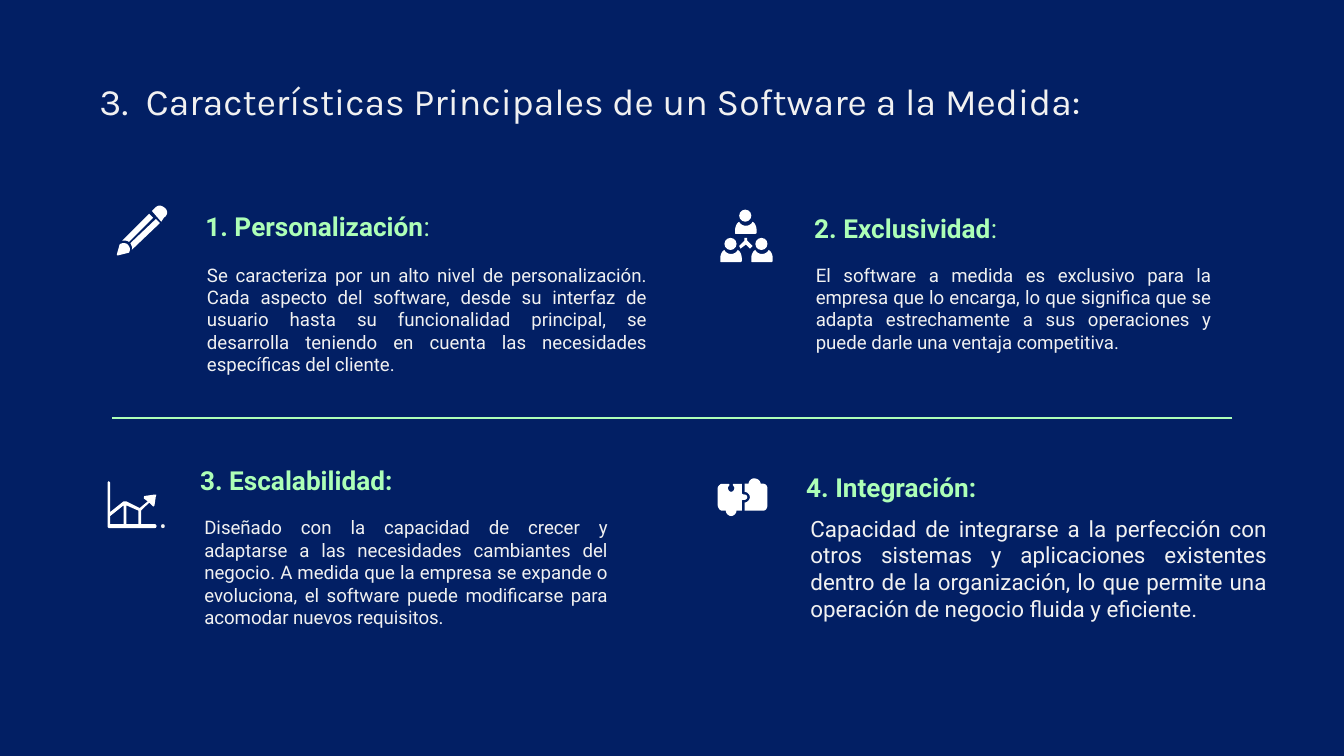
import dataclasses
import typing

import lxml.etree
import pptx
import pptx.dml.color
import pptx.enum.shapes
import pptx.enum.text
import pptx.oxml.ns
import pptx.util

Inches = pptx.util.Inches
Pt = pptx.util.Pt
Anchor = pptx.enum.text.MSO_ANCHOR
Box = tuple[float, float, float, float]
# A path step is a point (x, y) or a cubic curve (x1, y1, x2, y2, x, y)
Path = list[tuple[float, ...]]

COLORS = {"back": "021F64", "text": "F1F1F1", "mint": "ADFFB7", "icon": "FFFFFF"}
FONTS = {"title": "Karla", "body": "Roboto"}


@dataclasses.dataclass
class Card:
    head: list[tuple[str, bool]]  # wording and whether it is bold
    head_box: Box
    head_dent: float
    text: str
    text_box: Box
    text_dent: float
    size: int = 10
    bullet: bool = False


CARDS = [
    Card([("1. Personalización", True), (":", False)], (0.93, 1.41, 4.47, 0.49), 0.5,
         "Se caracteriza por un alto nivel de personalización. Cada aspecto del software, desde su interfaz "
         "de usuario hasta su funcionalidad principal, se desarrolla teniendo en cuenta las necesidades "
         "específicas del cliente.", (1.27, 1.86, 3.64, 1.32), 0.17),
    Card([("2. Exclusividad", True), (":", False)], (5.79, 1.42, 3.33, 0.49), 0.17,
         "El software a medida es exclusivo para la empresa que lo encarga, lo que significa que se adapta "
         "estrechamente a sus operaciones y puede darle una ventaja competitiva.",
         (5.47, 1.86, 3.64, 1.18), 0.5),
    Card([("3. Escalabilidad:", True)], (1.22, 3.3, 3.33, 0.49), 0.17,
         "Diseñado con la capacidad de crecer y adaptarse a las necesidades cambiantes del negocio. A medida "
         "que la empresa se expande o evoluciona, el software puede modificarse para acomodar nuevos "
         "requisitos.", (0.92, 3.74, 3.7, 1.4), 0.5, bullet=True),
    Card([("4. Integración:", True)], (5.73, 3.35, 3.33, 0.49), 0.17,
         "Capacidad de integrarse a la perfección con otros sistemas y aplicaciones existentes dentro de la "
         "organización, lo que permite una operación de negocio fluida y eficiente.",
         (5.76, 3.73, 3.77, 1.18), 0.17, size=12),
]

PENCIL: list[Path] = [
    [(1.11, 1.59), (0.91, 1.79), (0.93, 1.79, 0.95, 1.79, 0.96, 1.8), (1.14, 1.62)],
    [(1.19, 1.53), (1.17, 1.53, 1.16, 1.54, 1.15, 1.55), (1.13, 1.57), (1.2, 1.65), (1.22, 1.62),
     (1.25, 1.6, 1.25, 1.57, 1.23, 1.55), (1.22, 1.54, 1.2, 1.53, 1.19, 1.53)],
    [(1.16, 1.63), (0.97, 1.81), (0.98, 1.83, 0.99, 1.85, 0.98, 1.86), (1.19, 1.66)],
    [(0.92, 1.81), (0.91, 1.81, 0.9, 1.81, 0.89, 1.82), (0.87, 1.89), (0.87, 1.9, 0.87, 1.9, 0.88, 1.9),
     (0.96, 1.88), (0.97, 1.86, 0.97, 1.84, 0.95, 1.82), (0.94, 1.81, 0.93, 1.81, 0.92, 1.81)],
]
HEADS = [(5.5, 1.56), (5.39, 1.77), (5.62, 1.77)]
BUST: Path = [  # measured from the corner of the head
    (0, 0.09), (-0.02, 0.1, -0.03, 0.13, -0.03, 0.15), (-0.03, 0.17),
    (-0.03, 0.18, -0.03, 0.18, -0.02, 0.18), (0.12, 0.18), (0.12, 0.18, 0.13, 0.18, 0.13, 0.17),
    (0.13, 0.15), (0.13, 0.13, 0.12, 0.1, 0.1, 0.09), (0.09, 0.11, 0.07, 0.12, 0.05, 0.12),
    (0.03, 0.12, 0.01, 0.11, 0, 0.09)]
FORK: Path = [(5.54, 1.77), (5.54, 1.79), (5.5, 1.83), (5.51, 1.85), (5.55, 1.82),
              (5.58, 1.85), (5.6, 1.83), (5.56, 1.79), (5.56, 1.77)]
GRAPH: list[Path] = [
    [(0.81, 3.58), (0.8, 3.59), (0.8, 3.92), (0.81, 3.93), (1.15, 3.93), (1.17, 3.93, 1.17, 3.9, 1.15, 3.9),
     (1.05, 3.9), (1.05, 3.8), (1.11, 3.74), (1.14, 3.77), (1.15, 3.76), (1.16, 3.69),
     (1.17, 3.68, 1.16, 3.68, 1.15, 3.68), (1.08, 3.69), (1.07, 3.69, 1.07, 3.7, 1.07, 3.71),
     (1.1, 3.73), (1.04, 3.78), (0.94, 3.73), (0.92, 3.73), (0.82, 3.81), (0.82, 3.59)],
    [(0.92, 3.76), (0.92, 3.9), (0.82, 3.9), (0.82, 3.84)],
    [(0.94, 3.76), (1.03, 3.8), (1.03, 3.9), (0.94, 3.9)],
]
PUZZLE: list[Path] = [
    [(5.37, 3.6), (5.36, 3.6, 5.34, 3.62, 5.34, 3.63), (5.34, 3.76), (5.34, 3.78, 5.36, 3.8, 5.37, 3.8),
     (5.4, 3.8), (5.4, 3.82, 5.42, 3.84, 5.44, 3.84), (5.46, 3.84, 5.48, 3.82, 5.48, 3.8), (5.52, 3.8),
     (5.52, 3.73), (5.52, 3.72, 5.52, 3.72, 5.54, 3.72), (5.55, 3.72, 5.56, 3.71, 5.56, 3.7),
     (5.56, 3.69, 5.55, 3.68, 5.54, 3.68), (5.52, 3.68, 5.52, 3.67, 5.52, 3.67), (5.52, 3.6),
     (5.46, 3.6), (5.45, 3.6, 5.45, 3.61, 5.46, 3.62), (5.47, 3.63, 5.46, 3.66, 5.44, 3.66),
     (5.42, 3.66, 5.41, 3.63, 5.42, 3.62), (5.43, 3.61, 5.43, 3.6, 5.42, 3.6)],
    [(5.61, 3.56), (5.59, 3.56, 5.57, 3.58, 5.57, 3.6), (5.54, 3.6), (5.54, 3.66),
     (5.56, 3.66, 5.58, 3.68, 5.58, 3.7), (5.58, 3.72, 5.56, 3.74, 5.54, 3.74), (5.54, 3.8),
     (5.68, 3.8), (5.7, 3.8, 5.71, 3.78, 5.71, 3.76), (5.71, 3.63), (5.71, 3.62, 5.7, 3.6, 5.68, 3.6),
     (5.66, 3.6), (5.66, 3.58, 5.64, 3.56, 5.61, 3.56)],
]


def tint(name: str) -> pptx.dml.color.RGBColor:
    return pptx.dml.color.RGBColor.from_string(COLORS[name])


def add_tag(parent: typing.Any, tag: str, **attrs: str) -> typing.Any:
    return lxml.etree.SubElement(parent, pptx.oxml.ns.qn(tag), **attrs)


def write(shape: typing.Any, box: Box, parts: list[tuple[str, bool]], size: int, color: str,
          font: str = "body", dent: float = 0, anchor: Anchor = Anchor.TOP, bullet: bool = False) -> None:
    """Place a text shape and fill it with one justified paragraph."""
    shape.left, shape.top, shape.width, shape.height = map(Inches, box)
    frame = shape.text_frame
    frame.word_wrap = True
    frame.auto_size = pptx.enum.text.MSO_AUTO_SIZE.NONE
    frame.vertical_anchor = anchor
    frame.margin_left = frame.margin_right = frame.margin_top = frame.margin_bottom = Inches(0.1)
    para = frame.paragraphs[0]
    para.alignment = pptx.enum.text.PP_ALIGN.JUSTIFY
    para.space_before = Pt(0)
    props = para._p.get_or_add_pPr()
    props.set("marL", str(Inches(dent)))
    props.set("indent", str(Inches(-0.33 if bullet else 0)))
    if bullet:
        add_tag(add_tag(props, "a:buClr"), "a:srgbClr", val=COLORS[color])
        add_tag(props, "a:buFont", typeface=FONTS[font])
        add_tag(props, "a:buChar", char="•")
    else:
        add_tag(props, "a:buNone")
    para.font.name, para.font.size = FONTS[font], Pt(size)
    para.font.color.rgb = tint(color)
    for text, bold in parts:
        run = para.add_run()
        run.text, run.font.bold = text, bold


def paint(shape: typing.Any) -> None:
    shape.shadow.inherit = False
    shape.fill.solid()
    shape.fill.fore_color.rgb = tint("icon")
    shape.line.fill.background()


def trace(path: Path, count: int = 6) -> list[tuple[int, int]]:
    """Turn a path into points, with each curve cut into short lines."""
    dots = [path[0]]
    for step in path[1:]:
        if len(step) == 2:
            dots.append(step)
            continue
        ends = [dots[-1], step[:2], step[2:4], step[4:]]
        for t in (i / count for i in range(1, count + 1)):
            mix = ((1 - t) ** 3, 3 * t * (1 - t) ** 2, 3 * t * t * (1 - t), t ** 3)
            dots.append(tuple(sum(m * e[k] for m, e in zip(mix, ends)) for k in (0, 1)))
    return [(Inches(x), Inches(y)) for x, y in dots]


def draw(shapes: typing.Any, paths: list[Path]) -> None:
    """Draw paths as one outline; inner paths become holes."""
    lines = [trace(path) for path in paths]
    pen = shapes.build_freeform(*lines[0][0], scale=1.0)
    for i, dots in enumerate(lines):
        if i:
            pen.move_to(*dots[0])
        pen.add_line_segments(dots[1:], close=True)
    paint(pen.convert_to_shape())


def main() -> None:
    deck = pptx.Presentation()
    deck.slide_width, deck.slide_height = Inches(10), Inches(10 * 9 / 16)
    slide = deck.slides.add_slide(deck.slide_layouts.get_by_name("Comparison"))
    slide.background.fill.solid()
    slide.background.fill.fore_color.rgb = tint("back")
    shapes = slide.shapes

    # Title, headings and texts
    title = "3.  Características Principales de un Software a la Medida:"
    write(shapes.title, (0.64, 0.48, 9.44, 0.63), [(title, False)], 20, "text", "title")
    for card, body in zip(CARDS, list(slide.placeholders)[1:]):
        write(shapes.add_textbox(0, 0, 0, 0), card.head_box, card.head, 14, "mint",
              dent=card.head_dent, anchor=Anchor.BOTTOM)
        write(body, card.text_box, [(card.text, False)], card.size, "text",
              dent=card.text_dent, bullet=card.bullet)

    # Dividing line
    rule = shapes.add_connector(pptx.enum.shapes.MSO_CONNECTOR.STRAIGHT,
                                Inches(9.17), Inches(3.11), Inches(0.83), Inches(3.11))
    rule.line.color.rgb, rule.line.width = tint("mint"), Pt(0.75)
    add_tag(rule._element.spPr, "a:effectLst")

    # Icons
    for icon in (PENCIL, PUZZLE):
        group = shapes.add_group_shape()
        for path in icon:
            draw(group.shapes, [path])
    draw(shapes, GRAPH)
    team = shapes.add_group_shape().shapes
    for x, y in HEADS:
        paint(team.add_shape(pptx.enum.shapes.MSO_SHAPE.OVAL, *map(Inches, (x, y, 0.09, 0.09))))
        draw(team, [[tuple(v + (x, y)[i % 2] for i, v in enumerate(step)) for step in BUST]])
    draw(team, [FORK])

    deck.save("out.pptx")


if __name__ == "__main__":
    main()
